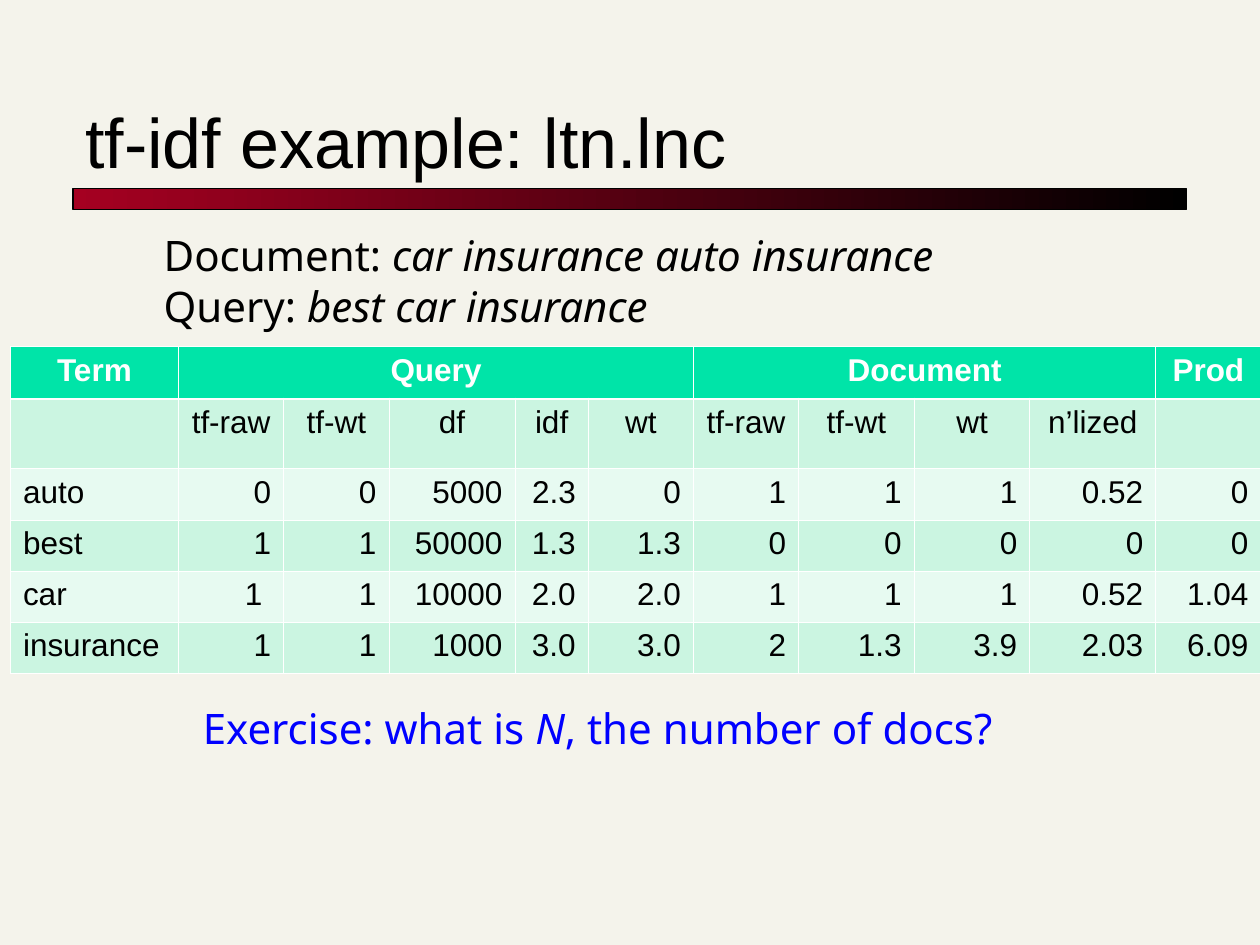
from lxml import etree
from pptx import Presentation
from pptx.dml.color import RGBColor
from pptx.enum.shapes import MSO_SHAPE
from pptx.enum.text import MSO_ANCHOR, PP_ALIGN
from pptx.oxml.ns import qn
from pptx.util import Cm, Pt

RECTANGLE = MSO_SHAPE.RECTANGLE
BOTTOM = MSO_ANCHOR.BOTTOM
LEFT, CENTER, RIGHT = PP_ALIGN.LEFT, PP_ALIGN.CENTER, PP_ALIGN.RIGHT

COLORS = {
    "background": "F4F3EB",
    "text": "000000",
    "white": "FFFFFF",
    "question": "0000FF",
    "bar_start": "A50021",
    "bar_end": "000000",
    "header": "00E4A8",
    "dark_band": "CBF5E1",
    "light_band": "E7FAF1",
}

COLUMN_WIDTHS = [3.39, 2.12, 2.12, 2.54, 1.48, 2.12, 2.12, 2.33, 2.33, 2.54, 2.12]
ROW_HEIGHTS = [1.05, 1.41, 1.03, 1.03, 1.03, 1.03]
HEADER_GROUPS = [("Term", 1), ("Query", 5), ("Document", 4), ("Prod", 1)]
BODY_ROWS = [
    ["", "tf-raw", "tf-wt", "df", "idf", "wt", "tf-raw", "tf-wt", "wt", "n’lized", ""],
    ["auto", "0", "0", "5000", "2.3 ", "0", "1", "1", "1", "0.52", "0"],
    ["best", "1", "1", "50000", "1.3", "1.3", "0", "0", "0", "0", "0"],
    ["car", "1 ", "1", "10000", "2.0", "2.0", "1", "1", "1", "0.52", "1.04"],
    ["insurance", "1", "1", "1000", "3.0", "3.0", "2", "1.3", "3.9", "2.03", "6.09"],
]


def color(name):
    return RGBColor.from_string(COLORS[name])


def add_span(para, text, size, font, color_name, bold=False, italic=False):
    span = para.add_run()
    span.text = text
    span.font.size = Pt(size)
    span.font.name = font
    span.font.color.rgb = color(color_name)
    span.font.bold = bold
    span.font.italic = italic


def add_title(page, left, top, width, height, text):
    """Title standing on a gradient bar."""
    box = page.shapes.add_textbox(Cm(left), Cm(top), Cm(width), Cm(height))
    frame = box.text_frame
    frame.word_wrap = True
    frame.vertical_anchor = BOTTOM
    add_span(frame.paragraphs[0], text, 40, "Arial", "text")

    bar = page.shapes.add_shape(
        RECTANGLE, Cm(left), Cm(top + height), Cm(width), Cm(0.43))
    bar.shadow.inherit = False
    bar.fill.gradient()
    bar.fill.gradient_angle = 0
    for stop, name, position in zip(
            bar.fill.gradient_stops, ("bar_start", "bar_end"), (0, 1)):
        stop.color.rgb = color(name)
        stop.position = position
    bar.line.color.rgb = color("text")
    bar.line.width = Pt(0.75)


def add_note(page, left, top, width, height, lines, color_name):
    """Unwrapped lines, each a list of (text, italic) pairs."""
    box = page.shapes.add_textbox(Cm(left), Cm(top), Cm(width), Cm(height))
    frame = box.text_frame
    frame.word_wrap = False
    frame.margin_top = Cm(0.18)
    for index, line in enumerate(lines):
        para = frame.add_paragraph() if index else frame.paragraphs[0]
        para.line_spacing = Pt(29)
        for text, italic in line:
            add_span(para, text, 24, "Noto Sans", color_name, italic=italic)


def set_borders(cell, top, bottom):
    """White cell borders; they come before the fill in the cell properties."""
    properties = cell._tc.get_or_add_tcPr()
    sides = [("a:lnL", 0.45), ("a:lnR", 0.45), ("a:lnT", top), ("a:lnB", bottom)]
    for index, (tag, width) in enumerate(sides):
        line = etree.Element(qn(tag), w=str(int(Pt(width))))
        fill = etree.SubElement(line, qn("a:solidFill"))
        etree.SubElement(fill, qn("a:srgbClr"), val=COLORS["white"])
        properties.insert(index, line)


def fill_cell(cell, text, align, fill, ink="text", bold=False):
    cell.fill.solid()
    cell.fill.fore_color.rgb = color(fill)
    para = cell.text_frame.paragraphs[0]
    para.alignment = align
    if text:
        add_span(para, text, 18, "Arial", ink, bold=bold)


def add_weights_table(page, left, top):
    """Term weights for the query and the document."""
    frame = page.shapes.add_table(
        len(ROW_HEIGHTS), len(COLUMN_WIDTHS), Cm(left), Cm(top),
        Cm(sum(COLUMN_WIDTHS)), Cm(sum(ROW_HEIGHTS)))
    table = frame.table
    for column, width in zip(table.columns, COLUMN_WIDTHS):
        column.width = Cm(width)
    for row, height in zip(table.rows, ROW_HEIGHTS):
        row.height = Cm(height)

    # Header row with merged groups
    start = 0
    for text, count in HEADER_GROUPS:
        cell = table.cell(0, start)
        if count > 1:
            cell.merge(table.cell(0, start + count - 1))
        fill_cell(cell, text, CENTER, "header", "white", bold=True)
        start += count

    # Column names, then banded values
    for row, values in enumerate(BODY_ROWS, start=1):
        band = "dark_band" if row % 2 else "light_band"
        for column, text in enumerate(values):
            align = CENTER if row == 1 else RIGHT if column else LEFT
            fill_cell(table.cell(row, column), text, align, band)

    # Heavier rule under the header
    for row in range(len(ROW_HEIGHTS)):
        for column in range(len(COLUMN_WIDTHS)):
            set_borders(table.cell(row, column),
                        top=1.47 if row == 1 else 0.45,
                        bottom=1.47 if row == 0 else 0.45)


def main():
    deck = Presentation()
    deck.slide_width, deck.slide_height = Cm(25.4), Cm(19.05)
    page = deck.slides.add_slide(deck.slide_layouts[6])
    page.background.fill.solid()
    page.background.fill.fore_color.rgb = color("background")

    add_title(page, 1.47, 1.07, 22.45, 2.73, "tf-idf example: ltn.lnc")
    add_weights_table(page, 0.21, 6.99)
    add_note(page, 3.05, 4.45, 16.05, 2.29, [
        [("Document: ", False), ("car insurance auto insurance", True)],
        [("Query: ", False), ("best car insurance", True)],
    ], "text")
    add_note(page, 3.84, 13.97, 16.46, 1.27, [
        [("Exercise: what is ", False), ("N", True),
         (", the number of docs?", False)],
    ], "question")

    deck.save("out.pptx")


if __name__ == "__main__":
    main()
